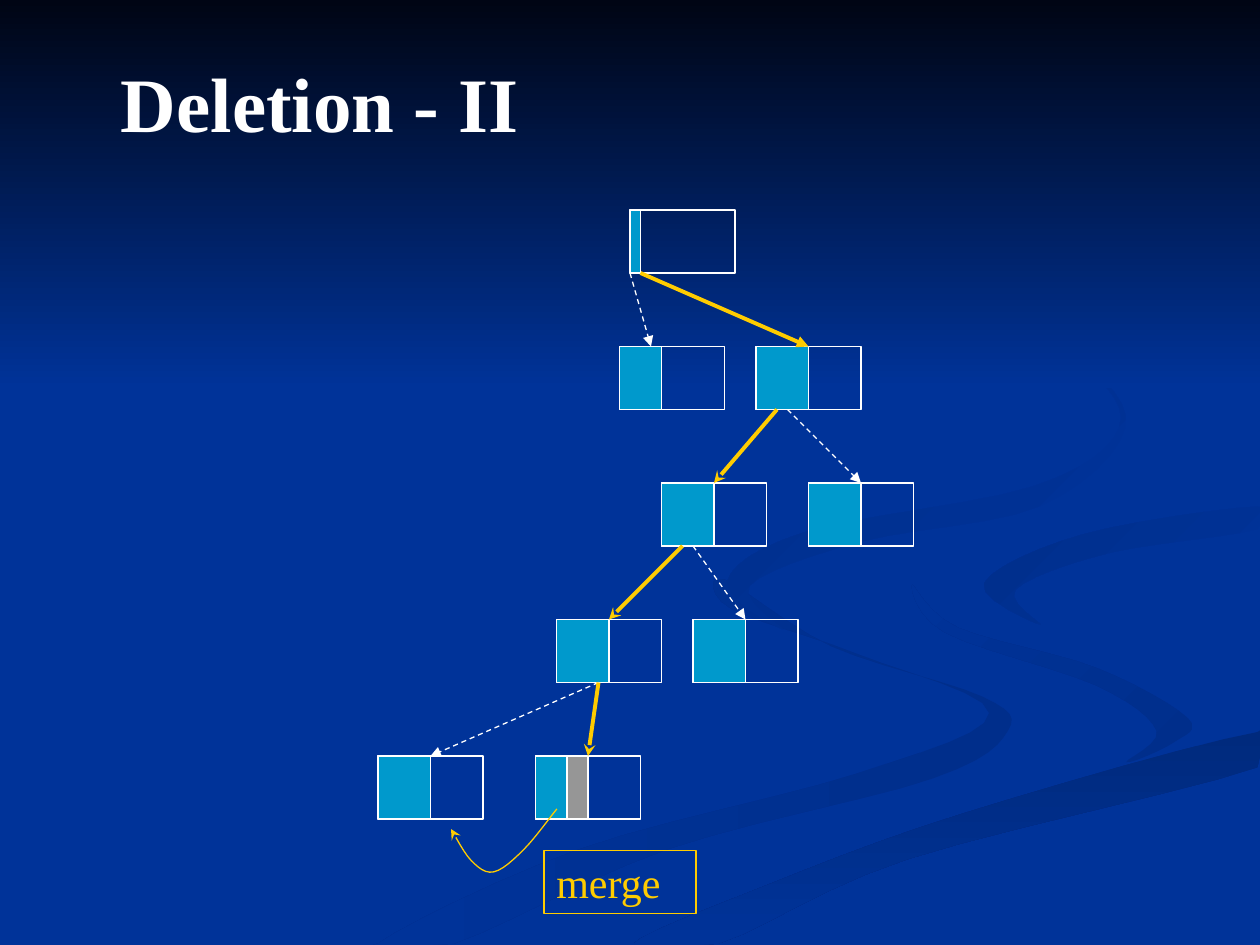
"""Build the slide that follows a deletion down a search tree."""
import pptx
import pptx.dml.color
import pptx.enum.dml
import pptx.enum.shapes
import pptx.enum.text
import pptx.oxml.ns
import pptx.util
from lxml import etree

COLORS = {
    "background": "003399", "night": "000514", "haze": "002E8B", "shade": "002A7D",
    "white": "FFFFFF", "gold": "FFCC00", "teal": "0099CC", "gray": "969696",
}
FONT = "Times New Roman"
CELL = 1 / 12
NODE_COLUMNS, NODE_ROWS = 10, 6
FIRST_ROW, LEVEL_STEP = 20, 13
CURVE_STEPS = 6

NODES = {
    "root": (60, 0, 1),
    "left child": (59, 1, 4), "right child": (72, 1, 5),
    "inner left": (63, 2, 5), "inner right": (77, 2, 5),
    "lower left": (53, 3, 5), "lower right": (66, 3, 5),
    "sibling leaf": (36, 4, 5), "merged leaf": (51, 4, 5),
}
SEARCH_PATH = [
    (61, 0, "right child", "triangle"), (74, 1, "inner left", "stealth"),
    (65, 2, "lower left", "stealth"), (57, 3, "merged leaf", "stealth"),
]
SIDE_BRANCHES = [
    (75, 1, "inner right"), (66, 2, "lower right"), (57, 3, "sibling leaf"),
]
SWIRLS = [
    ("haze", "background", 180, [
        (7.8, 5.53), (6.6, 5.13), (5.75, 4.6), (5.8, 4.83), (6.8, 5.19), (7.85, 5.66),
        (6.8, 6.14), (4.6, 6.74), (3, 7.49), (3.6, 7.49), (5.3, 6.74), (7.4, 6.18),
        (8, 5.8)]),
    ("haze", "background", 135, [
        (9.43, 5.7), (8.7, 5.3), (7.6, 4.98), (7.24, 4.64), (7.5, 5.02), (8.7, 5.44),
        (9.18, 5.8), (8.94, 6.05), (9.32, 5.89)]),
    ("shade", "background", 270, [
        (5.03, 7.49), (5.7, 7.49), (7.2, 6.82), (9.98, 6.09), (9.98, 5.81), (7.6, 6.47),
        (6, 7.06)]),
    ("background", "haze", 135, [
        (7.81, 4.63), (8.26, 4.96), (8.06, 4.68), (8.8, 4.39), (9.98, 4.2), (9.98, 4.02),
        (8.6, 4.24)]),
    ("background", "haze", 135, [
        (6.83, 4.3), (8.25, 4.02), (8.93, 3.4), (8.55, 2.83), (7.62, 2.33), (8.6, 2.9),
        (8.88, 3.4), (8.2, 3.86), (6.4, 4.22), (5.77, 4.62), (6.22, 5), (5.95, 4.65)]),
]
MERGE_CURVE = [(4.42, 6.42), (4.16, 6.74), (3.92, 6.92), (3.74, 6.83), (3.58, 6.58)]


def color(name):
    """Return the named colour."""
    return pptx.dml.color.RGBColor.from_string(COLORS[name])


def cells(*counts):
    """Turn grid counts into lengths."""
    return [pptx.util.Inches(count * CELL) for count in counts]


def level_row(level):
    """Return the top grid row of a tree level."""
    return FIRST_ROW + LEVEL_STEP * level


def style_line(line, name, width=0.75):
    """Set the colour and width of a line."""
    line.color.rgb = color(name)
    line.width = pptx.util.Pt(width)


def add_arrowhead(shape, kind):
    """Put an arrowhead at the end of a shape's line."""
    line = shape.element.spPr.find(pptx.oxml.ns.qn("a:ln"))
    etree.SubElement(line, pptx.oxml.ns.qn("a:tailEnd"), type=kind)


def smooth_points(points, close):
    """Return a smooth chain of points that passes through the given ones."""
    ends = (points[-1:], points[:2]) if close else (points[:1], points[-1:])
    padded = ends[0] + points + ends[1]
    chain = [points[0]]
    for knots in zip(padded, padded[1:], padded[2:], padded[3:]):
        for step in range(1, CURVE_STEPS + 1):
            t = step / CURVE_STEPS
            chain.append(tuple(
                b + t * (c - a + t * (2 * a - 5 * b + 4 * c - d
                                      + t * (3 * b - a - 3 * c + d))) / 2
                for a, b, c, d in zip(*knots)))
    return chain


def add_curve(slide, points, close):
    """Draw a smooth outline that stays on the slide."""
    corners = [(pptx.util.Inches(min(x, 10)), pptx.util.Inches(min(y, 7.5)))
               for x, y in smooth_points(points, close)]
    builder = slide.shapes.build_freeform(*corners[0])
    builder.add_line_segments(corners[1:], close=close)
    shape = builder.convert_to_shape()
    shape.shadow.inherit = False
    return shape


def fill_gradient(shape, first, last, angle):
    """Fill a backdrop shape with two blending colours."""
    shape.line.fill.background()
    shape.fill.gradient()
    shape.fill.gradient_angle = angle
    for stop, name in zip(shape.fill.gradient_stops, (first, last)):
        stop.color.rgb = color(name)


def add_box(slide, lengths, line="white", fill=None):
    """Draw a rectangle."""
    shape = slide.shapes.add_shape(pptx.enum.shapes.MSO_SHAPE.RECTANGLE, *lengths)
    shape.shadow.inherit = False
    style_line(shape.line, line)
    if fill:
        shape.fill.solid()
        shape.fill.fore_color.rgb = color(fill)
    else:
        shape.fill.background()
    return shape


def add_backdrop(slide):
    """Draw the swirls and the dark band at the top."""
    slide.background.fill.solid()
    slide.background.fill.fore_color.rgb = color("background")
    for first, last, angle, points in SWIRLS:
        fill_gradient(add_curve(slide, points, True), first, last, angle)
    fill_gradient(add_box(slide, cells(0, 0, 120, 37)), "night", "background", 270)


def add_node(slide, column, level, filled):
    """Draw a tree node with its filled share and return its frame."""
    row = level_row(level)
    frame = add_box(slide, cells(column, row, NODE_COLUMNS, NODE_ROWS))
    add_box(slide, cells(column, row, filled, NODE_ROWS), fill="teal")
    return frame


def add_arrow(slide, column, level, end_column, head, name, width, target=None):
    """Draw an arrow from under one level to the top of the next."""
    ends = cells(column, level_row(level) + NODE_ROWS, end_column, level_row(level + 1))
    connector = slide.shapes.add_connector(pptx.enum.shapes.MSO_CONNECTOR.STRAIGHT, *ends)
    if target is not None:
        connector.end_connect(target, 0)
    style_line(connector.line, name, width)
    if name == "white":
        connector.line.dash_style = pptx.enum.dml.MSO_LINE.DASH
    add_arrowhead(connector, head)
    etree.SubElement(connector.element.spPr, pptx.oxml.ns.qn("a:effectLst"))


def add_merge_curve(slide):
    """Draw the bent arrow between the two leaves."""
    shape = add_curve(slide, MERGE_CURVE, False)
    shape.fill.background()
    style_line(shape.line, "gold")
    add_arrowhead(shape, "stealth")


def write_text(shape, text, size, name, anchor, bold=False):
    """Write one left-aligned line of text."""
    frame = shape.text_frame
    frame.word_wrap = True
    frame.vertical_anchor = anchor
    paragraph = frame.paragraphs[0]
    paragraph.alignment = pptx.enum.text.PP_ALIGN.LEFT
    run = paragraph.add_run()
    run.text = text
    run.font.name, run.font.size, run.font.bold = FONT, pptx.util.Pt(size), bold
    run.font.color.rgb = color(name)


def add_title(slide):
    """Place the title in front of the backdrop."""
    title = slide.shapes.title
    slide.shapes.element.append(title.element)
    title.left, title.top, title.width, title.height = (
        pptx.util.Inches(value) for value in (0.86, 0.39, 3.82, 0.84))
    write_text(title, "Deletion - II", 44, "white", pptx.enum.text.MSO_ANCHOR.TOP, True)


def main():
    """Build and save the slide."""
    presentation = pptx.Presentation()
    presentation.slide_width, presentation.slide_height = cells(120, 90)
    slide = presentation.slides.add_slide(presentation.slide_layouts[5])
    add_backdrop(slide)
    add_title(slide)
    frames = {name: add_node(slide, *node) for name, node in NODES.items()}
    leaf_column, leaf_level, _ = NODES["merged leaf"]
    add_box(slide, cells(leaf_column + 3, level_row(leaf_level), 2, NODE_ROWS), fill="gray")
    branches = [(*branch, "triangle", "white", 0.75) for branch in SIDE_BRANCHES]
    branches += [(*branch, "gold", 2.25) for branch in SEARCH_PATH]
    for column, level, target, head, name, width in branches:
        middle = NODES[target][0] + NODE_COLUMNS / 2
        add_arrow(slide, column, level, middle, head, name, width, frames[target])
    add_arrow(slide, 60, 0, 62, "triangle", "white", 0.75)
    add_merge_curve(slide)
    label = add_box(slide, cells(51.8, 81, 14.5, NODE_ROWS), line="gold")
    write_text(label, "merge", 24, "gold", pptx.enum.text.MSO_ANCHOR.MIDDLE)
    presentation.save("out.pptx")


if __name__ == "__main__":
    main()
